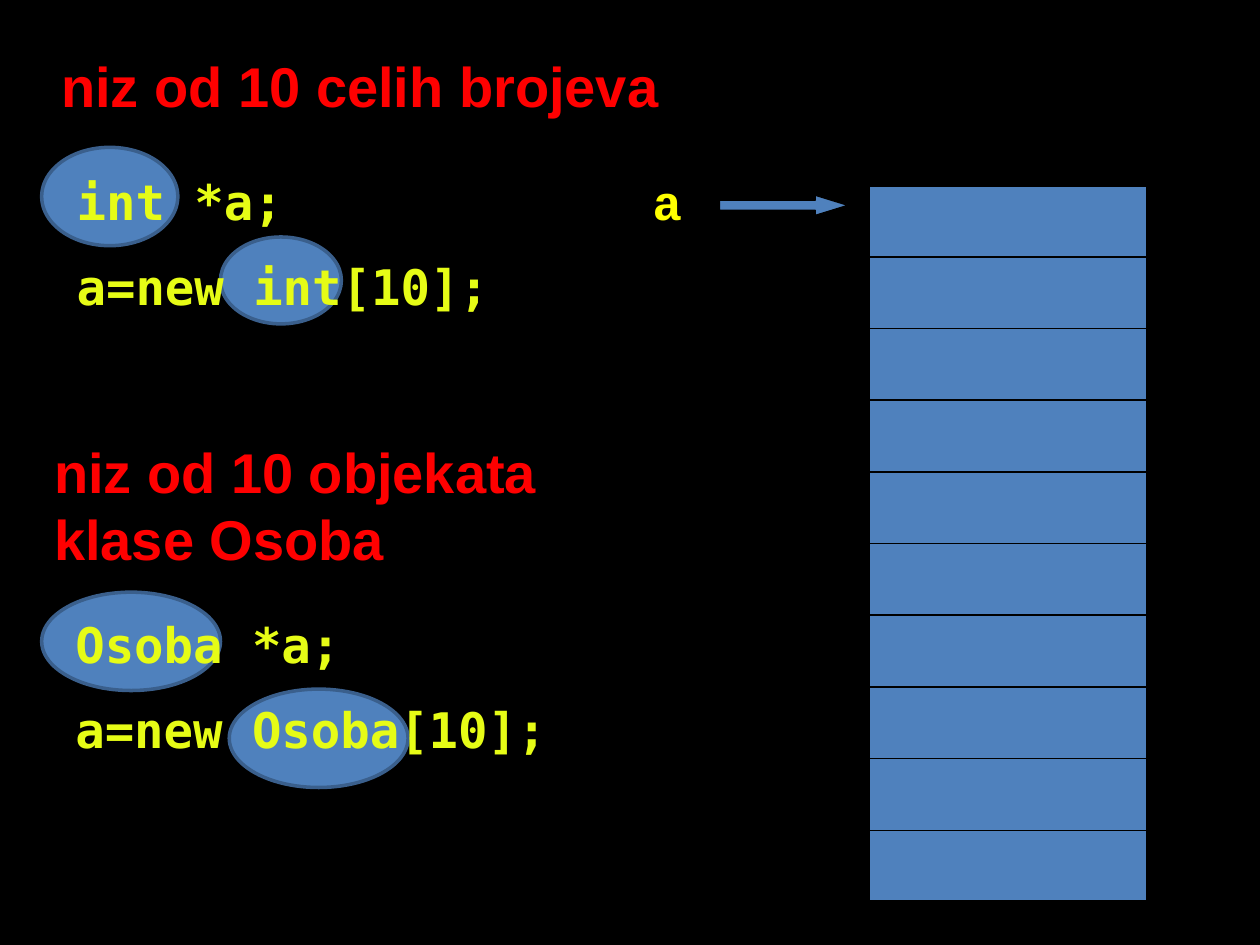
import pptx
import pptx.util
import pptx.dml.color
import pptx.enum.shapes
import pptx.enum.text
import pptx.oxml
import pptx.oxml.ns

Pt = pptx.util.Pt
SHAPE = pptx.enum.shapes.MSO_SHAPE
BLUE = "4F81BD"


def paint(color_format, color):
    color_format.rgb = pptx.dml.color.RGBColor.from_string(color)


def write(box, lines, font, size, color, align="LEFT"):
    frame = box.text_frame
    frame.text = "\n".join(lines)
    frame.word_wrap = True
    frame.auto_size = pptx.enum.text.MSO_AUTO_SIZE.NONE
    frame.vertical_anchor = pptx.enum.text.MSO_ANCHOR.TOP
    for paragraph in frame.paragraphs:
        paragraph.alignment = getattr(pptx.enum.text.PP_ALIGN, align)
        paragraph.space_before = Pt(size * 0.53)
        paragraph.font.name = font
        paragraph.font.size = Pt(size)
        paragraph.font.bold = True
        paint(paragraph.font.color, color)


deck = pptx.Presentation()
deck.slide_width, deck.slide_height = Pt(720), Pt(540)
slide = deck.slides.add_slide(deck.slide_layouts[5])
slide.background.fill.solid()
paint(slide.background.fill.fore_color, "000000")

type_marks = [
    (131, 393.8, 102.2, 56.2),
    (23.8, 338.4, 102.2, 56.2),
    (126, 135.4, 69.1, 49.7),
    (23.8, 84.2, 77.8, 56.2),
]
for place in type_marks:
    mark = slide.shapes.add_shape(SHAPE.OVAL, *map(Pt, place))
    mark.shadow.inherit = False
    mark.fill.solid()
    paint(mark.fill.fore_color, BLUE)
    paint(mark.line.color, "3A5F8C")
    mark.line.width = Pt(2)

cell_count = 10
memory = slide.shapes.add_table(
    cell_count, 1, Pt(496.1), Pt(105.8), Pt(159.1), Pt(409.7)
).table
memory.first_row = memory.horz_banding = False
for index in range(cell_count):
    cell = memory.cell(index, 0)
    borders = {
        "lnL": 2.25,
        "lnR": 1,
        "lnT": 2.25 if index == 0 else 1,
        "lnB": 2.25 if index == cell_count - 1 else 1,
    }
    for side, width in borders.items():
        cell._tc.get_or_add_tcPr().append(pptx.oxml.parse_xml(
            f'<a:{side} {pptx.oxml.ns.nsdecls("a")} w="{Pt(width)}">'
            f'<a:solidFill><a:srgbClr val="000000"/></a:solidFill></a:{side}>'
        ))
    cell.fill.solid()
    paint(cell.fill.fore_color, BLUE)

arrow = slide.shapes.add_shape(SHAPE.RIGHT_ARROW, Pt(411.1), Pt(111.6), Pt(73.4), Pt(11.5))
arrow.adjustments[0] = 0.5
arrow.adjustments[1] = 1.62
arrow.shadow.inherit = False
arrow.fill.solid()
paint(arrow.fill.fore_color, BLUE)
paint(arrow.line.color, "000000")
arrow.line.width = Pt(0.75)

title = slide.shapes.title
title.left, title.top, title.width, title.height = Pt(18), Pt(25.9), Pt(375.8), Pt(45.4)
write(title, ["niz od 10 celih brojeva"], "Arial", 32, "FF0000", "CENTER")

texts = [
    ((36.7, 94.3, 272.2, 91.4), ["int *a;", "a=new int[10];"], "DejaVu Sans Mono", 28, "E6FC16"),
    ((365.8, 94.3, 28.1, 41), ["a"], "Courier New", 28, "FFFF00"),
    ((23.8, 246.2, 342, 85), ["niz od 10 objekata klase Osoba"], "Arial", 32, "FF0000"),
    ((36, 347.8, 293, 92.2), ["Osoba *a;", "a=new Osoba[10];"], "DejaVu Sans Mono", 28, "E6FC16"),
]
for place, lines, font, size, color in texts:
    write(slide.shapes.add_textbox(*map(Pt, place)), lines, font, size, color)

deck.save("out.pptx")
